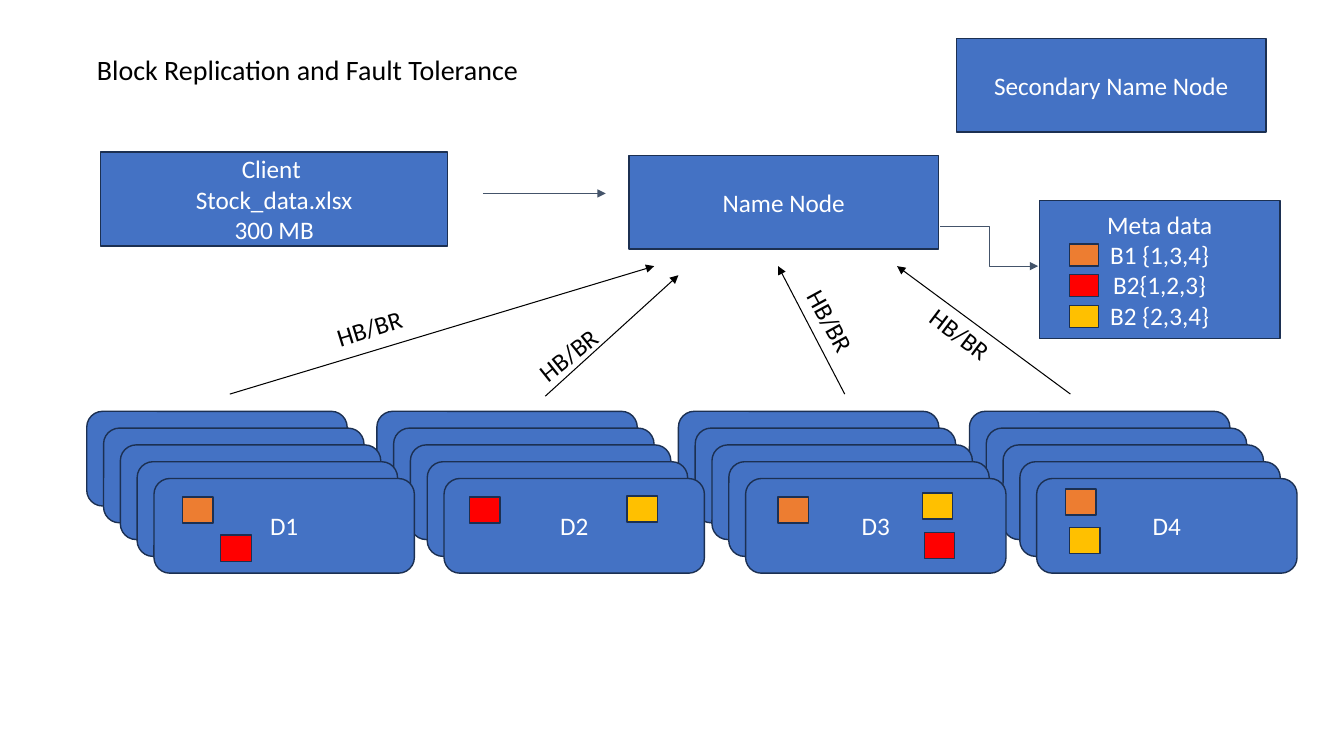
from lxml import etree
from pptx import Presentation
from pptx.dml.color import RGBColor
from pptx.enum.shapes import MSO_CONNECTOR, MSO_SHAPE
from pptx.enum.text import MSO_ANCHOR, PP_ALIGN
from pptx.oxml.ns import qn
from pptx.util import Pt

RECT = MSO_SHAPE.RECTANGLE
ROUND = MSO_SHAPE.ROUNDED_RECTANGLE
LINE = MSO_CONNECTOR.STRAIGHT
BENT = MSO_CONNECTOR.ELBOW
LEFT, CENTER = PP_ALIGN.LEFT, PP_ALIGN.CENTER
TOP, MIDDLE = MSO_ANCHOR.TOP, MSO_ANCHOR.MIDDLE
BLUE, NAVY, SLATE = "4472C4", "1C3052", "44546A"
BLACK, WHITE = "000000", "FFFFFF"
ORANGE, RED, YELLOW = "ED7D31", "FF0000", "FFC000"


def color(code):
    return RGBColor.from_string(code)


class Board:
    font = "Calibri"
    size = 18

    def __init__(self, slide):
        self.slide = slide
        self.shapes = slide.shapes

    def letter(self, shape, lines, ink, align, anchor, size):
        frame = shape.text_frame
        frame.word_wrap = True
        frame.vertical_anchor = anchor
        frame.text = "\n".join(lines)
        for para in frame.paragraphs:
            para.alignment = align
            para.font.name = self.font
            para.font.size = Pt(size)
            para.font.color.rgb = color(ink)

    def title(self, text, x, y, w, h):
        shape = self.shapes.title
        shape.left, shape.top = Pt(x), Pt(y)
        shape.width, shape.height = Pt(w), Pt(h)
        self.letter(shape, [text], BLACK, LEFT, TOP, 20)

    def box(self, x, y, w, h, *lines, fill=BLUE, kind=RECT):
        shape = self.shapes.add_shape(kind, Pt(x), Pt(y), Pt(w), Pt(h))
        shape.shadow.inherit = False
        shape.fill.solid()
        shape.fill.fore_color.rgb = color(fill)
        shape.line.color.rgb = color(NAVY)
        shape.line.width = Pt(1)
        if lines:
            self.letter(shape, lines, WHITE, CENTER, MIDDLE, self.size)

    def label(self, text, x, y, w, h, angle):
        shape = self.shapes.add_textbox(Pt(x), Pt(y), Pt(w), Pt(h))
        shape.rotation = angle
        self.letter(shape, [text], BLACK, LEFT, TOP, self.size)

    def arrow(self, start, end, ink, kind=LINE):
        points = [Pt(value) for value in (*start, *end)]
        link = self.shapes.add_connector(kind, *points)
        link.line.color.rgb = color(ink)
        link.line.width = Pt(0.75)
        props = link.element.spPr
        etree.SubElement(props.find(qn("a:ln")), qn("a:tailEnd"), type="triangle")
        etree.SubElement(props, qn("a:effectLst"))


def main():
    deck = Presentation()
    deck.slide_width, deck.slide_height = Pt(960), Pt(540)
    board = Board(deck.slides.add_slide(deck.slide_layouts[5]))

    board.title("Block Replication and Fault Tolerance", 62, 33.8, 353, 31.7)
    board.box(72, 108.7, 247.7, 67, "Client ", "Stock_data.xlsx", "300 MB")
    board.box(449.3, 110.9, 221, 67, "Name Node")
    board.box(683.3, 27.4, 221, 67, "Secondary Name Node")
    board.box(742.3, 143.3, 172.1, 98.6,
              "Meta data", "B1 {1,3,4}", "B2{1,2,3}", "B2 {2,3,4}")
    board.arrow((344.9, 138.2), (432.7, 138.2), SLATE)
    board.arrow((671.8, 162), (741.6, 190.1), SLATE, BENT)

    stacks = (62, 269.2, 484.6, 692.5)
    depth, step = 5, 12
    for layer in range(depth):
        for num, left in enumerate(stacks, 1):
            text = [f"D{num}"] if layer == depth - 1 else []
            board.box(left + layer * step, 293.8 + layer * step,
                      186, 67.6, *text, kind=ROUND)

    blocks = {
        ORANGE: ((130.3, 355), (555.8, 355), (761, 349.2)),
        RED: ((157.7, 382.3), (335.5, 355), (660.2, 380.2)),
        YELLOW: ((447.8, 354.2), (658.8, 352.1), (763.9, 376.6)),
    }
    for row, (fill, spots) in enumerate(blocks.items()):
        board.box(764, 174.2 + row * 22, 20.9, 15.8, fill=fill)
        for x, y in spots:
            board.box(x, y, 21.8, 18.7, fill=fill)

    beats = (
        ((164.2, 281.5), (467.3, 190.1), (232.6, 218.2), 342.7),
        ((389.5, 283), (484.6, 196.6), (373.7, 235.4), 321.3),
        ((603.4, 281.5), (555.8, 190.1), (559.4, 219.6), 61.4),
        ((764.6, 281.5), (640.8, 190.1), (653.8, 227.5), 37.3),
    )
    for start, end, spot, angle in beats:
        board.arrow(start, end, BLACK)
        board.label("HB/BR", *spot, 72.7, 29, angle)

    deck.save("out.pptx")


if __name__ == "__main__":
    main()
